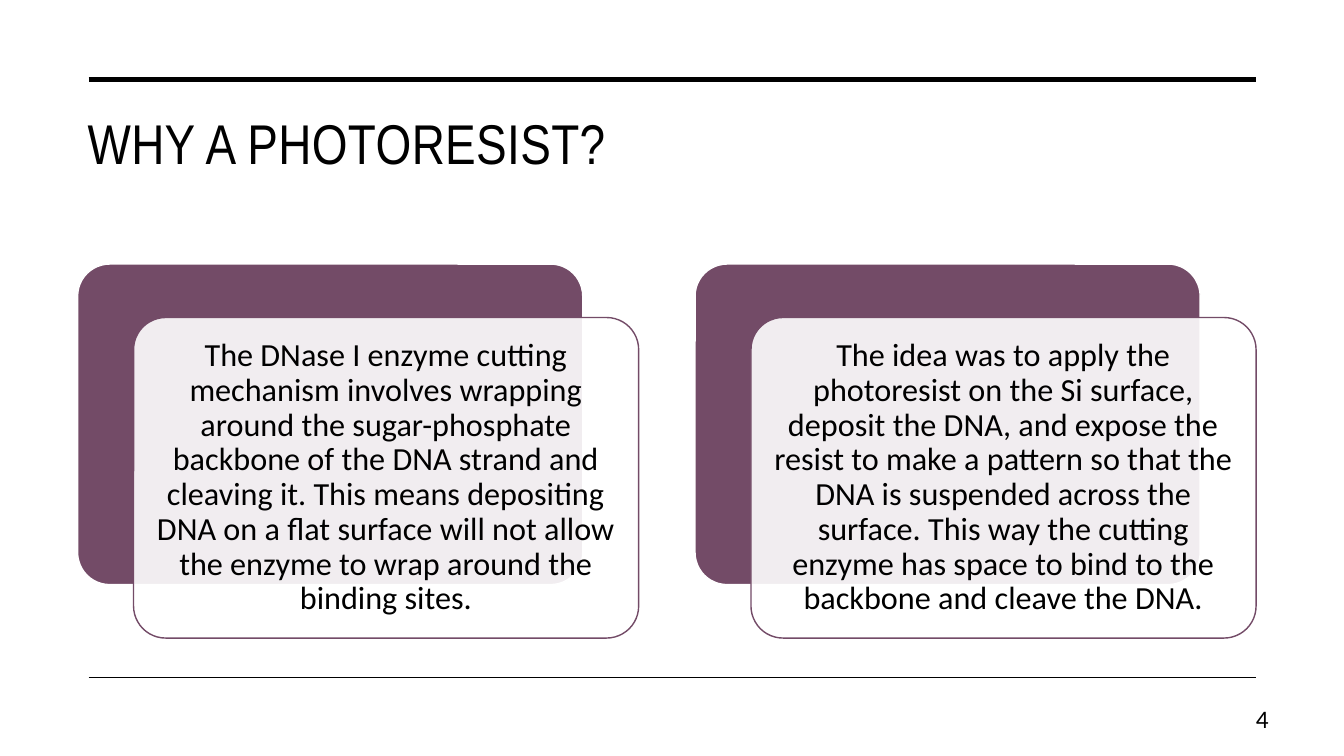
from lxml import etree
from pptx import Presentation
from pptx.dml.color import RGBColor
from pptx.enum.shapes import MSO_CONNECTOR, MSO_SHAPE
from pptx.enum.text import MSO_ANCHOR, PP_ALIGN
from pptx.oxml.ns import qn
from pptx.util import Inches, Pt

BLACK = RGBColor(0x00, 0x00, 0x00)
WHITE = RGBColor(0xFF, 0xFF, 0xFF)
PLUM = RGBColor(0x73, 0x4B, 0x67)
STRAIGHT = MSO_CONNECTOR.STRAIGHT
ROUNDED = MSO_SHAPE.ROUNDED_RECTANGLE
TOP, MIDDLE = MSO_ANCHOR.TOP, MSO_ANCHOR.MIDDLE
LEFT, CENTER, RIGHT = PP_ALIGN.LEFT, PP_ALIGN.CENTER, PP_ALIGN.RIGHT

CARDS = [
    "The DNase I enzyme cutting mechanism involves wrapping around the "
    "sugar-phosphate backbone of the DNA strand and cleaving it. This means "
    "depositing DNA on a flat surface will not allow the enzyme to wrap around "
    "the binding sites.",
    "The idea was to apply the photoresist on the Si surface, deposit the DNA, "
    "and expose the resist to make a pattern so that the DNA is suspended across "
    "the surface. This way the cutting enzyme has space to bind to the backbone "
    "and cleave the DNA.",
]


class Deck:
    HEAD_FONT, BODY_FONT = "Arial Narrow", "Calibri"
    COLS = ROWS = 100
    CARD_W, CARD_H = 37.58, 42.4
    SHIFT_X, SHIFT_Y = 4.16, 7.07

    def __init__(self):
        self.prs = Presentation()
        self.prs.slide_width, self.prs.slide_height = Inches(13.33), Inches(7.5)
        self.s = self.prs.slides.add_slide(self.prs.slide_layouts[6])

    def x(self, cols):
        return round(self.prs.slide_width * cols / self.COLS)

    def y(self, rows):
        return round(self.prs.slide_height * rows / self.ROWS)

    def box(self, x, y, w, h):
        return self.x(x), self.y(y), self.x(w), self.y(h)

    def add_text(self, sp, text, size, font, align, anchor, inset=0.05, spacing=1.0):
        tf = sp.text_frame
        tf.word_wrap = True
        tf.vertical_anchor = anchor
        tf.margin_left = tf.margin_right = Inches(0.1)
        tf.margin_top = tf.margin_bottom = Inches(inset)
        p = tf.paragraphs[0]
        p.alignment, p.line_spacing = align, spacing
        r = p.add_run()
        r.text = text
        r.font.name, r.font.size = font, Pt(size)
        r.font.color.rgb = BLACK
        return r

    def title(self, text):
        sp = self.s.shapes.add_textbox(*self.box(5.78, 13.2, 87.7, 16.8))
        r = self.add_text(sp, text, 40, self.HEAD_FONT, LEFT, TOP, inset=0.09)
        r.font._element.set("spc", "30")

    def page_number(self, text):
        sp = self.s.shapes.add_textbox(*self.box(89.57, 92.67, 5.55, 5.33))
        self.add_text(sp, text, 18, self.BODY_FONT, RIGHT, MIDDLE, spacing=0.9)

    def rule(self, y, width):
        sp = self.s.shapes.add_connector(
            STRAIGHT, self.x(6.6), self.y(y), self.x(93.47), self.y(y))
        sp.line.color.rgb, sp.line.width = BLACK, Pt(width)
        etree.SubElement(sp._element.spPr, qn("a:effectLst"))

    def panel(self, x, y, fill, line, opacity=100):
        sp = self.s.shapes.add_shape(
            ROUNDED, *self.box(x, y, self.CARD_W, self.CARD_H))
        sp.adjustments[0] = 0.1
        sp.shadow.inherit = False
        sp.fill.solid()
        sp.fill.fore_color.rgb = fill
        sp.line.color.rgb, sp.line.width = line, Pt(1)
        if opacity < 100:
            clr = sp._element.spPr.find(qn("a:solidFill"))[0]
            etree.SubElement(clr, qn("a:alpha"), val=str(opacity * 1000))
        return sp

    def card(self, x, y, text):
        self.panel(x, y, PLUM, WHITE)
        sp = self.panel(x + self.SHIFT_X, y + self.SHIFT_Y, WHITE, PLUM, 90)
        self.add_text(sp, text, 23, self.BODY_FONT, CENTER, MIDDLE, 0.1, 0.9)


def main():
    deck = Deck()
    deck.title("WHY A PHOTORESIST?")
    deck.rule(10.53, 3.5)
    deck.rule(89.6, 1)
    deck.page_number("4")
    for i, text in enumerate(CARDS):
        deck.card(5.78 + i * 45.94, 34.93, text)
    deck.prs.save("out.pptx")


if __name__ == "__main__":
    main()
